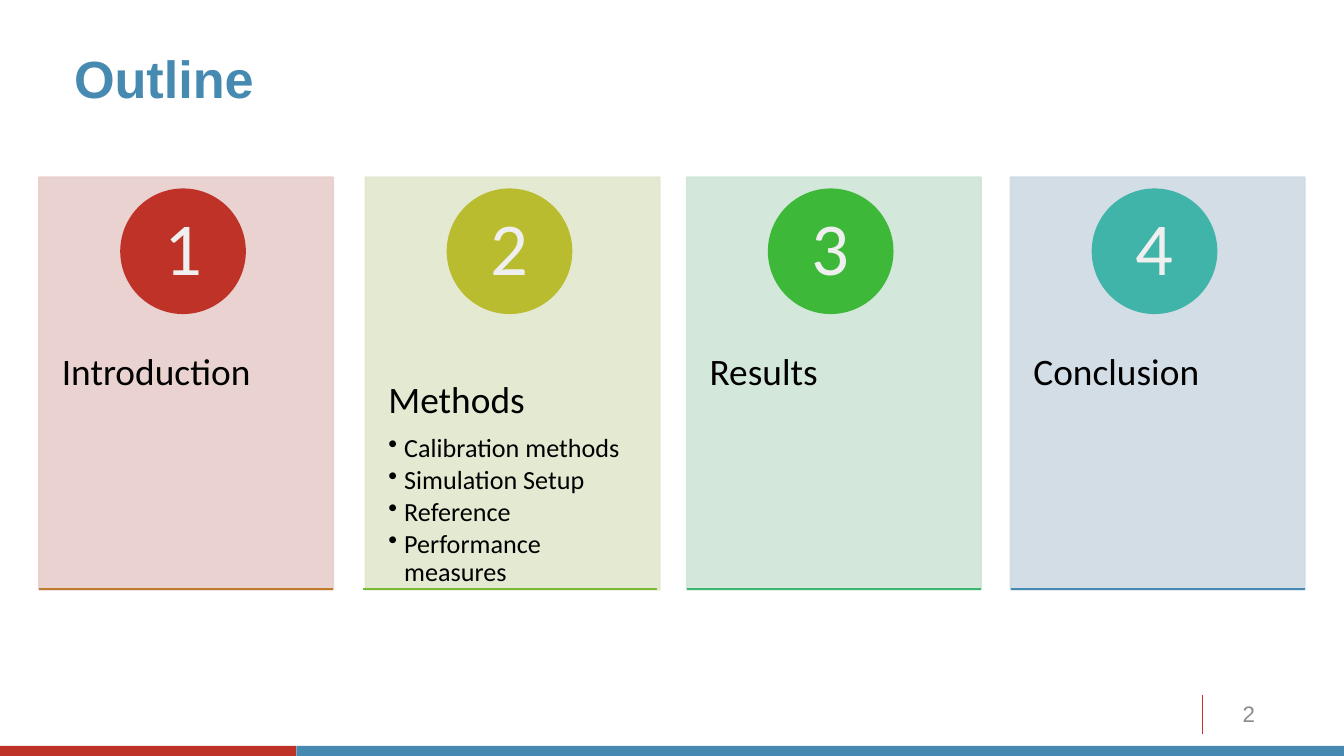
from lxml import etree
from pptx import Presentation
from pptx import util as u
from pptx.dml.color import RGBColor
from pptx.enum import shapes, text
from pptx.oxml.ns import qn


def paint(color_format, color, opacity=100):
    color_format.solid()
    color_format.fore_color.rgb = RGBColor.from_string(color)
    if opacity < 100:
        for element in color_format._xPr.iter(qn("a:srgbClr")):
            etree.SubElement(element, qn("a:alpha"), val=str(opacity * 1000))


def style(paragraph, font, size, color, spacing=0.9, after=0):
    paragraph.line_spacing = spacing
    paragraph.space_after = u.Pt(after)
    for run in paragraph.runs:
        run.font.name = font
        run.font.size = u.Pt(size)
        paint(run.font.fill, color)


presentation = Presentation()
presentation.slide_width = u.Cm(25.4)
presentation.slide_height = u.Cm(14.29)
slide = presentation.slides.add_slide(presentation.slide_layouts[5])

title = slide.shapes.title
title.left, title.top, title.width, title.height = u.Cm(1.4), u.Cm(0.76), u.Cm(22.6), u.Cm(1.55)
title.text_frame.text = "Outline"
title.text_frame.margin_left = 0
title.text_frame.vertical_anchor = text.MSO_ANCHOR.MIDDLE
heading = title.text_frame.paragraphs[0]
heading.alignment = text.PP_ALIGN.JUSTIFY
style(heading, "Arial", 28, "468AB2")
heading.runs[0].font.bold = True

rectangles = [
    (0, 14.1, 5.6, 0.23, "BF3227", 100),
    (5.6, 14.1, 19.8, 0.23, "468AB2", 100),
]
lines = [(22.73, 13.13, 22.73, 13.87, "BF3227", 0.5)]

card_top, card_width, card_height = 3.35, 5.56, 7.8
cards = [
    ("Introduction", [], 0.74, 0.74, "E8CECD", "BF3227", "BD7B2B"),
    ("Methods",
     ["Calibration methods", "Simulation Setup", "Reference", "Performance measures"],
     6.91, 6.86, "E2E7CE", "BABC2F", "79BA34"),
    ("Results", [], 12.98, 12.98, "CFE6D6", "3EB838", "3DB671"),
    ("Conclusion", [], 19.1, 19.1, "CFDAE4", "41B4A9", "468AB2"),
]
for name, items, left, line_left, card_color, circle_color, line_color in cards:
    rectangles.append((left, card_top, card_width, card_height, card_color, 90))
    lines.append((line_left, 11.13, line_left + card_width, 11.13, line_color, 1))

for left, top, width, height, color, opacity in rectangles:
    rectangle = slide.shapes.add_shape(
        shapes.MSO_SHAPE.RECTANGLE, u.Cm(left), u.Cm(top), u.Cm(width), u.Cm(height))
    rectangle.shadow.inherit = False
    paint(rectangle.fill, color, opacity)
    if opacity < 100:
        paint(rectangle.line.fill, color, opacity)
        rectangle.line.width = u.Pt(1)
    else:
        rectangle.line.fill.background()

for start_x, start_y, end_x, end_y, color, width in lines:
    line = slide.shapes.add_connector(
        shapes.MSO_CONNECTOR.STRAIGHT, u.Cm(start_x), u.Cm(start_y), u.Cm(end_x), u.Cm(end_y))
    paint(line.line.fill, color)
    line.line.width = u.Pt(width)
    etree.SubElement(line._element.spPr, qn("a:effectLst"))

for number, (name, items, left, _, _, circle_color, _) in enumerate(cards, 1):
    circle = slide.shapes.add_shape(
        shapes.MSO_SHAPE.OVAL, u.Cm(left + 1.55), u.Cm(3.58), u.Cm(2.34), u.Cm(2.34))
    circle.shadow.inherit = False
    paint(circle.fill, circle_color)
    paint(circle.line.fill, circle_color)
    circle.line.width = u.Pt(1)
    frame = circle.text_frame
    frame.text = str(number)
    frame.margin_left = frame.margin_right = u.Cm(0.18)
    frame.margin_top = frame.margin_bottom = u.Cm(0.03)
    frame.vertical_anchor = text.MSO_ANCHOR.MIDDLE
    frame.paragraphs[0].alignment = text.PP_ALIGN.CENTER
    style(frame.paragraphs[0], "Calibri", 40, "EFEFF0")

    frame = slide.shapes.add_textbox(
        u.Cm(left), u.Cm(6.3), u.Cm(card_width), u.Cm(4.67)).text_frame
    frame.word_wrap = True
    frame.margin_left = frame.margin_right = u.Cm(0.43)
    frame.margin_top = frame.margin_bottom = u.Cm(0.91)
    frame.text = name
    style(frame.paragraphs[0], "Calibri", 20, "000000", after=7)
    for item in items:
        paragraph = frame.add_paragraph()
        paragraph.text = item
        paragraph.level = 1
        properties = paragraph._p.get_or_add_pPr()
        properties.set("marL", str(u.Cm(0.3)))
        properties.set("indent", str(-u.Cm(0.3)))
        etree.SubElement(properties, qn("a:buChar"), char="•")
        style(paragraph, "Calibri", 14, "000000", after=2)

page_box = slide.shapes.add_textbox(u.Cm(22.83), u.Cm(13.13), u.Cm(1.14), u.Cm(0.76))
page_box.text_frame.word_wrap = True
page_box.text_frame.vertical_anchor = text.MSO_ANCHOR.MIDDLE
page_box.text_frame.text = "2"
page_number = page_box.text_frame.paragraphs[0]
page_number.alignment = text.PP_ALIGN.RIGHT
style(page_number, "Arial", 12, "8C8C8C", spacing=0.93)

presentation.save("out.pptx")
